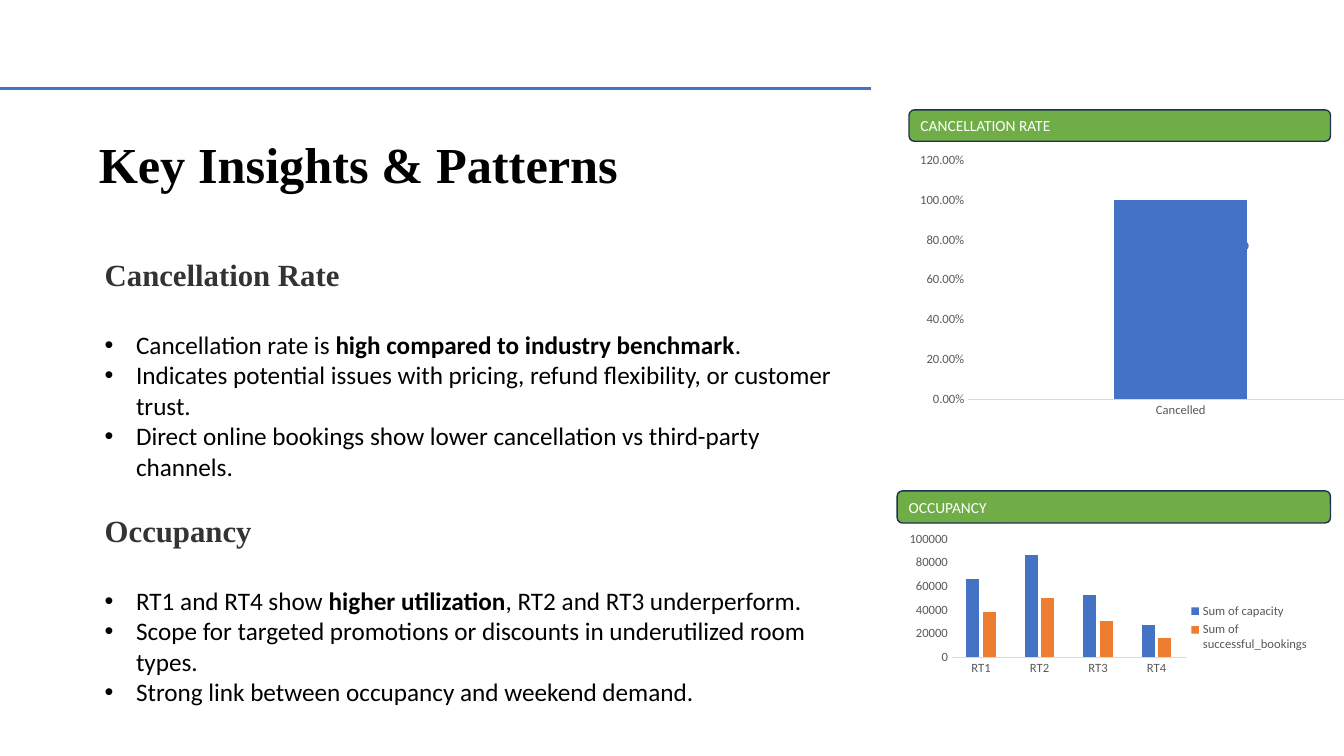
from dataclasses import dataclass

import pptx
import pptx.chart.data
import pptx.dml.color
import pptx.enum.chart
import pptx.enum.shapes
import pptx.enum.text
import pptx.oxml
import pptx.oxml.ns
import pptx.util
from lxml import etree

Cm, Pt = pptx.util.Cm, pptx.util.Pt
RGB = pptx.dml.color.RGBColor.from_string
MSO_SHAPE = pptx.enum.shapes.MSO_SHAPE
XL = pptx.enum.chart
qn = pptx.oxml.ns.qn


@dataclass(frozen=True)
class Theme:
    serif: str = "Times New Roman"
    sans: str = "Calibri"
    black: str = "000000"
    white: str = "FFFFFF"
    heading: str = "333333"
    blue: str = "4472C4"
    orange: str = "ED7D31"
    green: str = "70AD47"
    navy: str = "1E3256"
    label: str = "595959"
    axis: str = "D9D9D9"
    title_size: int = 36
    heading_size: int = 22
    body_size: int = 18
    banner_size: int = 11
    chart_size: int = 9


theme = Theme()


def add_text(p, text, size=theme.body_size, font=theme.sans, color=theme.black, bold=False):
    """Add one formatted run to a paragraph."""
    r = p.add_run()
    r.text = text
    r.font.size, r.font.name, r.font.bold = Pt(size), font, bold
    r.font.color.rgb = RGB(color)


prs = pptx.Presentation()
prs.slide_width, prs.slide_height = Cm(33.87), Cm(19.05)
s = prs.slides.add_slide(prs.slide_layouts[6])

# Title
tf = s.shapes.add_textbox(Cm(2.24), Cm(1.75), Cm(17.09), Cm(3.28)).text_frame
tf.word_wrap = True
tf.vertical_anchor = pptx.enum.text.MSO_ANCHOR.BOTTOM
p = tf.paragraphs[0]
p.line_spacing, p.space_after = 0.9, Pt(6)
add_text(p, "Key Insights & Patterns", size=theme.title_size, font=theme.serif, bold=True)

# Rule above the title
rule = s.shapes.add_connector(
    pptx.enum.shapes.MSO_CONNECTOR.STRAIGHT, Cm(0), Cm(2.24), Cm(21.95), Cm(2.24))
rule.line.color.rgb, rule.line.width = RGB(theme.blue), Pt(2)
etree.SubElement(rule._element.spPr, qn("a:effectLst"))

# Insights: each bullet is a list of (text, bold) pieces
sections = [
    ("Cancellation Rate", [
        [("Cancellation rate is ", False), ("high compared to industry benchmark", True),
         (".", False)],
        [("Indicates potential issues with pricing, refund flexibility, or customer trust.", False)],
        [("Direct online bookings show lower cancellation vs third-party channels.", False)],
    ]),
    ("Occupancy", [
        [("RT1 and RT4 show ", False), ("higher utilization", True),
         (", RT2 and RT3 underperform.", False)],
        [("Scope for targeted promotions or discounts in underutilized room types.", False)],
        [("Strong link between occupancy and weekend demand.", False)],
    ]),
]
tf = s.shapes.add_textbox(Cm(2.39), Cm(6.32), Cm(19.02), Cm(10.69)).text_frame
tf.word_wrap = True
for i, (heading, bullets) in enumerate(sections):
    p = tf.add_paragraph() if i else tf.paragraphs[0]
    p.space_before, p.space_after = Pt(22 if i else 0), Pt(26)
    add_text(p, heading, size=theme.heading_size, font=theme.serif,
             color=theme.heading, bold=True)
    for pieces in bullets:
        p = tf.add_paragraph()
        p.line_spacing = Pt(21.7)
        pPr = p._p.get_or_add_pPr()
        pPr.set("marL", str(Cm(0.79)))
        pPr.set("indent", str(-Cm(0.79)))
        etree.SubElement(pPr, qn("a:buFont")).set("typeface", "Arial")
        etree.SubElement(pPr, qn("a:buChar")).set("char", "•")
        for text, bold in pieces:
            add_text(p, text, bold=bold)

# Small dot that peeks out beside the cancellation column
dot = s.shapes.add_shape(MSO_SHAPE.OVAL, Cm(31.22), Cm(6.07), Cm(0.25), Cm(0.25))
dot.shadow.inherit = False
dot.fill.solid()
dot.fill.fore_color.rgb = RGB(theme.blue)
dot.line.fill.background()

# Charts, each under its banner
panels = [
    dict(banner="CANCELLATION RATE", banner_box=(22.91, 2.77, 10.62, 0.79),
         chart_box=(22.94, 3.71, 12.42, 6.96), categories=["Cancelled"],
         series=[("Series 1", [1], theme.blue)],
         top=1.2, step=0.2, number_format="0.00%", plot=None),
    dict(banner="OCCUPANCY", banner_box=(22.61, 12.37, 10.92, 0.81),
         chart_box=(22.53, 12.95, 10.72, 5.74), categories=["RT1", "RT2", "RT3", "RT4"],
         series=[("Sum of capacity", [66000, 86000, 53000, 27000], theme.blue),
                 ("Sum of successful_bookings", [38000, 50000, 31000, 16000], theme.orange)],
         top=100000, step=20000, number_format="General",
         plot=dict(x=0.136, y=0.11, w=0.55, h=0.52)),
]
for panel in panels:
    data = pptx.chart.data.CategoryChartData(number_format=panel["number_format"])
    data.categories = panel["categories"]
    for name, values, _ in panel["series"]:
        data.add_series(name, values)
    chart = s.shapes.add_chart(
        XL.XL_CHART_TYPE.COLUMN_CLUSTERED, *map(Cm, panel["chart_box"]), data).chart
    chart.has_title = False
    chart.font.size, chart.font.name = Pt(theme.chart_size), theme.sans
    chart.font.color.rgb = RGB(theme.label)

    plot = chart.plots[0]
    plot.gap_width, plot.overlap, plot.vary_by_categories = 219, -27, False
    for series, (_, _, color) in zip(plot.series, panel["series"]):
        series.format.fill.solid()
        series.format.fill.fore_color.rgb = RGB(color)

    for axis in (chart.category_axis, chart.value_axis):
        axis.major_tick_mark = axis.minor_tick_mark = XL.XL_TICK_MARK.NONE
        axis.has_major_gridlines = False
    chart.category_axis.format.line.color.rgb = RGB(theme.axis)
    chart.category_axis.format.line.width = Pt(0.75)
    axis = chart.value_axis
    axis.format.line.fill.background()
    axis.minimum_scale, axis.maximum_scale, axis.major_unit = 0, panel["top"], panel["step"]
    axis.tick_labels.number_format = panel["number_format"]
    axis.tick_labels.number_format_is_linked = False

    chart.has_legend = len(panel["series"]) > 1
    if chart.has_legend:
        chart.legend.position = XL.XL_LEGEND_POSITION.RIGHT
        chart.legend.include_in_layout = False
    if panel["plot"]:
        area = chart._chartSpace.chart.plotArea
        for old in area.findall(qn("c:layout")):
            area.remove(old)
        layout = etree.Element(qn("c:layout"))
        area.insert(0, layout)
        manual = etree.SubElement(layout, qn("c:manualLayout"))
        settings = dict(layoutTarget="inner", xMode="edge", yMode="edge", **panel["plot"])
        for tag, value in settings.items():
            etree.SubElement(manual, qn("c:" + tag)).set("val", str(value))

    sp = s.shapes.add_shape(MSO_SHAPE.ROUNDED_RECTANGLE, *map(Cm, panel["banner_box"]))
    sp.shadow.inherit = False
    sp.fill.solid()
    sp.fill.fore_color.rgb = RGB(theme.green)
    sp.line.color.rgb, sp.line.width = RGB(theme.navy), Pt(1)
    sp.text_frame.vertical_anchor = pptx.enum.text.MSO_ANCHOR.MIDDLE
    p = sp.text_frame.paragraphs[0]
    p.alignment = pptx.enum.text.PP_ALIGN.LEFT
    add_text(p, panel["banner"], size=theme.banner_size, color=theme.white)

prs.save("out.pptx")
